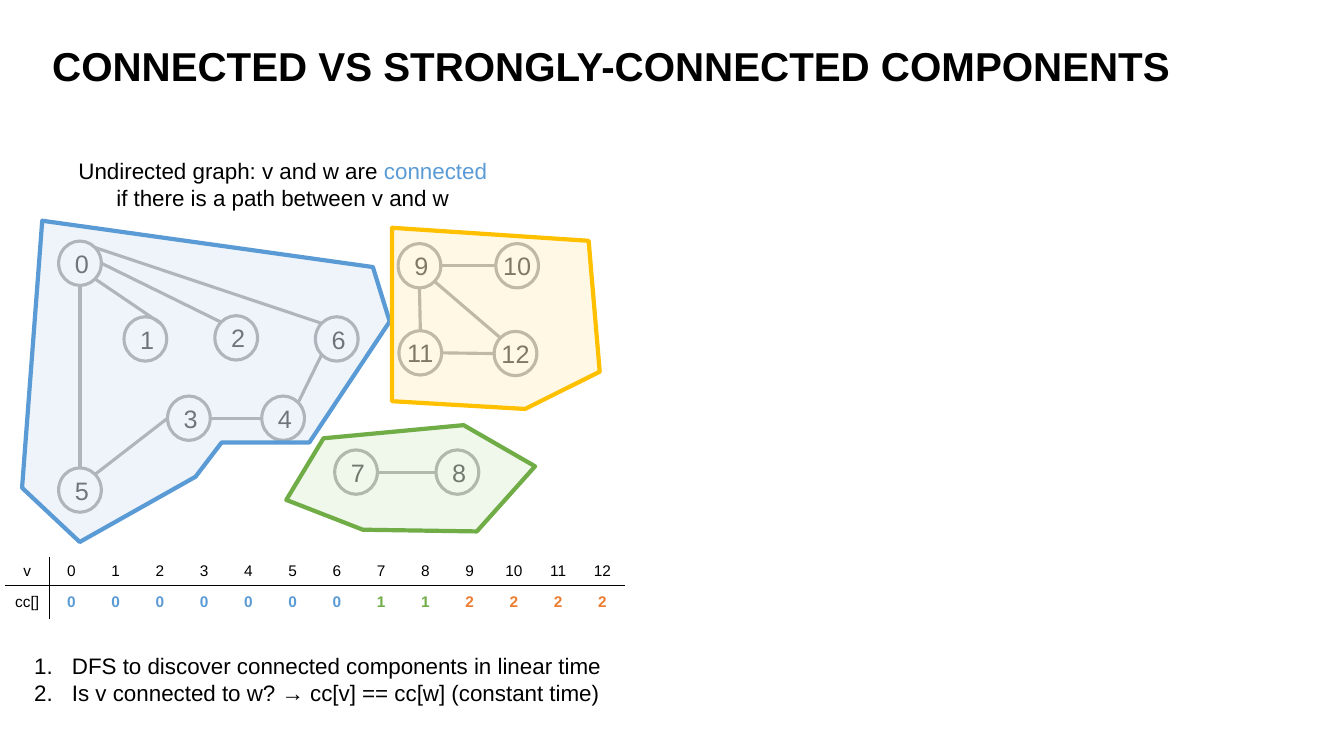
from dataclasses import dataclass
from math import cos, pi, sin

from lxml import etree
from pptx import Presentation
from pptx import util as u
from pptx.dml import color
from pptx.enum import shapes, text
from pptx.oxml import ns

HUES = {
    "black": "000000", "gray": "808080",
    "blue": "5B9BD5", "sky": "DEEBF7",
    "gold": "FFC000", "cream": "FFF2CC",
    "green": "70AD47", "mint": "E2F0D9",
    "orange": "ED7D31",
}
WIDE, HIGH = 30.5, 31.7
TOP, LEFT, BOTTOM, RIGHT = 0, 2, 4, 6
TOP_LEFT, LOW_LEFT, LOW_RIGHT, TOP_RIGHT = 1, 3, 5, 7


@dataclass(frozen=True)
class Node:
    x: float
    y: float

    def site(self, turn: int) -> tuple[float, float]:
        angle = turn * pi / 4
        return (self.x + WIDE / 2 * (1 - sin(angle)),
                self.y + HIGH / 2 * (1 - cos(angle)))


@dataclass(frozen=True)
class Edge:
    start: int
    leave: int
    end: int
    enter: int


@dataclass(frozen=True)
class Region:
    fill: str
    line: str
    points: list[tuple[float, float]]


NODES = [
    Node(41.9, 172.2), Node(88.6, 226.3), Node(153.5, 225.5),
    Node(119.7, 282.9), Node(187, 282.9), Node(41.9, 334.2),
    Node(225.3, 226.3), Node(239.1, 321.4), Node(311.5, 321.4),
    Node(284.4, 174), Node(354.2, 174), Node(285, 236.2), Node(353, 236.7),
]
EDGES = [
    Edge(0, BOTTOM, 5, TOP),
    Edge(0, LOW_RIGHT, 1, TOP_RIGHT),
    Edge(0, RIGHT, 2, TOP_LEFT),
    Edge(0, TOP_RIGHT, 6, TOP_LEFT),
    Edge(3, LEFT, 5, TOP_RIGHT),
    Edge(4, LEFT, 3, RIGHT),
    Edge(6, LOW_LEFT, 4, TOP_RIGHT),
    Edge(8, LEFT, 7, RIGHT),
    Edge(12, LEFT, 11, RIGHT),
    Edge(9, BOTTOM, 11, TOP),
    Edge(10, LEFT, 9, RIGHT),
    Edge(12, TOP_LEFT, 9, LOW_RIGHT),
]
REGIONS = [
    Region("sky", "blue", [
        (30.2, 157.7), (15.8, 348.5), (57, 387.2), (139.7, 340.6),
        (158.4, 316.1), (221, 316.1), (278.4, 229.7), (266.4, 190.8)]),
    Region("cream", "gold", [
        (280.1, 162.7), (280.1, 286.6), (375.1, 292.1), (428.4, 265.5),
        (420.5, 172)]),
    Region("mint", "green", [
        (231.1, 313.1), (204.5, 357.1), (259.2, 378.4), (340.6, 379.6),
        (382.2, 333.1), (331.2, 303.7)]),
]
GROUPS = [0] * 7 + [1] * 2 + [2] * 4
MARKS = ["blue", "green", "orange"]


def tint(name: str) -> color.RGBColor:
    return color.RGBColor.from_string(HUES[name])


def style(run, size: float, hue: str = "black", bold: bool = False) -> None:
    run.font.name = "Arial"
    run.font.size = u.Pt(size)
    run.font.bold = bold
    run.font.color.rgb = tint(hue)


def add_box(slide, x: float, y: float, w: float, h: float):
    frame = slide.shapes.add_textbox(*map(u.Pt, (x, y, w, h))).text_frame
    frame.word_wrap = True
    return frame


def draw_node(slide, label: int, node: Node) -> None:
    disc = slide.shapes.add_shape(shapes.MSO_SHAPE.OVAL,
                                  *map(u.Pt, (node.x, node.y, WIDE, HIGH)))
    disc.shadow.inherit = False
    disc.fill.background()
    disc.line.color.rgb = tint("gray")
    disc.line.width = u.Pt(2.25)
    frame = disc.text_frame
    frame.vertical_anchor = text.MSO_ANCHOR.MIDDLE
    if label > 9:
        frame.margin_left = frame.margin_right = 0
        frame.margin_top = frame.margin_bottom = 0
    frame.text = str(label)
    para = frame.paragraphs[0]
    para.alignment = text.PP_ALIGN.CENTER
    style(para.runs[0], 18)


def draw_edge(slide, edge: Edge) -> None:
    ends = NODES[edge.start].site(edge.leave) + NODES[edge.end].site(edge.enter)
    link = slide.shapes.add_connector(shapes.MSO_CONNECTOR.STRAIGHT,
                                      *map(u.Pt, ends))
    link.line.color.rgb = tint("gray")
    link.line.width = u.Pt(2.25)
    etree.SubElement(link._element.spPr, ns.qn("a:effectLst"))


def draw_region(slide, region: Region) -> None:
    first, *rest = [(u.Pt(x), u.Pt(y)) for x, y in region.points]
    pen = slide.shapes.build_freeform(*first)
    pen.add_line_segments(rest, close=True)
    area = pen.convert_to_shape()
    area.shadow.inherit = False
    area.fill.solid()
    area.fill.fore_color.rgb = tint(region.fill)
    shade = area._element.spPr.find(".//" + ns.qn("a:srgbClr"))
    etree.SubElement(shade, ns.qn("a:alpha"), val="50000")
    area.line.color.rgb = tint(region.line)
    area.line.width = u.Pt(3)


def set_edges(cell, shown: set[str]) -> None:
    props = cell._tc.get_or_add_tcPr()
    for spot, side in enumerate("LRTB"):
        rule = etree.Element(ns.qn("a:ln" + side), w=str(u.Pt(1)))
        if side in shown:
            fill = etree.SubElement(rule, ns.qn("a:solidFill"))
            etree.SubElement(fill, ns.qn("a:srgbClr"), val=HUES["black"])
        else:
            etree.SubElement(rule, ns.qn("a:noFill"))
        props.insert(spot, rule)


def draw_table(slide) -> None:
    rows = [["v", *range(len(GROUPS))], ["cc[]", *GROUPS]]
    grid = slide.shapes.add_table(2, len(rows[0]),
                                  *map(u.Pt, (3.6, 398.2, 442.8, 44))).table
    grid.first_row = grid.horz_banding = False
    for row, high in zip(grid.rows, (20, 24)):
        row.height = u.Pt(high)
    for i, row in enumerate(rows):
        for j, value in enumerate(row):
            cell = grid.cell(i, j)
            cell.fill.background()
            cell.margin_left = cell.margin_right = u.Pt(3)
            cell.vertical_anchor = text.MSO_ANCHOR.MIDDLE
            cell.text = str(value)
            para = cell.text_frame.paragraphs[0]
            para.alignment = text.PP_ALIGN.CENTER
            mark = i == 1 and j > 0
            style(para.runs[0], 11, MARKS[value] if mark else "black", mark)
            shown = {"T" if i else "B"}
            if j < 2:
                shown.add("L" if j else "R")
            set_edges(cell, shown)


def draw_text(slide) -> None:
    title = add_box(slide, 30.2, 20.2, 848.2, 56.9)
    title.vertical_anchor = text.MSO_ANCHOR.MIDDLE
    title.text = "CONNECTED VS STRONGLY-CONNECTED COMPONENTS"
    title.paragraphs[0].line_spacing = 0.9
    style(title.paragraphs[0].runs[0], 28.8, bold=True)

    para = add_box(slide, 43.9, 108.7, 316.1, 46.1).paragraphs[0]
    para.alignment = text.PP_ALIGN.CENTER
    para.text = "Undirected graph: v and w are "
    para.add_run().text = "connected"
    para.add_run().text = " if there is a path between v and w"
    for run, hue in zip(para.runs, ("black", "blue", "black")):
        style(run, 16, hue)

    notes = add_box(slide, 17.3, 462.2, 462.2, 65.5)
    notes.text = ("DFS to discover connected components in linear time\n"
                  "Is v connected to w? → cc[v] == cc[w] (constant time)")
    for para in notes.paragraphs:
        props = para._p.get_or_add_pPr()
        props.set("marL", str(u.Pt(27)))
        props.set("indent", str(u.Pt(-27)))
        etree.SubElement(props, ns.qn("a:buFont"), typeface="Arial")
        etree.SubElement(props, ns.qn("a:buAutoNum"), type="arabicPeriod")
        style(para.runs[0], 16)


def main() -> None:
    deck = Presentation()
    deck.slide_width, deck.slide_height = u.Pt(960), u.Pt(540)
    slide = deck.slides.add_slide(deck.slide_layouts[6])
    for label, node in enumerate(NODES):
        draw_node(slide, label, node)
    for edge in EDGES:
        draw_edge(slide, edge)
    draw_table(slide)
    for region in REGIONS:
        draw_region(slide, region)
    draw_text(slide)
    deck.save("out.pptx")


if __name__ == "__main__":
    main()
